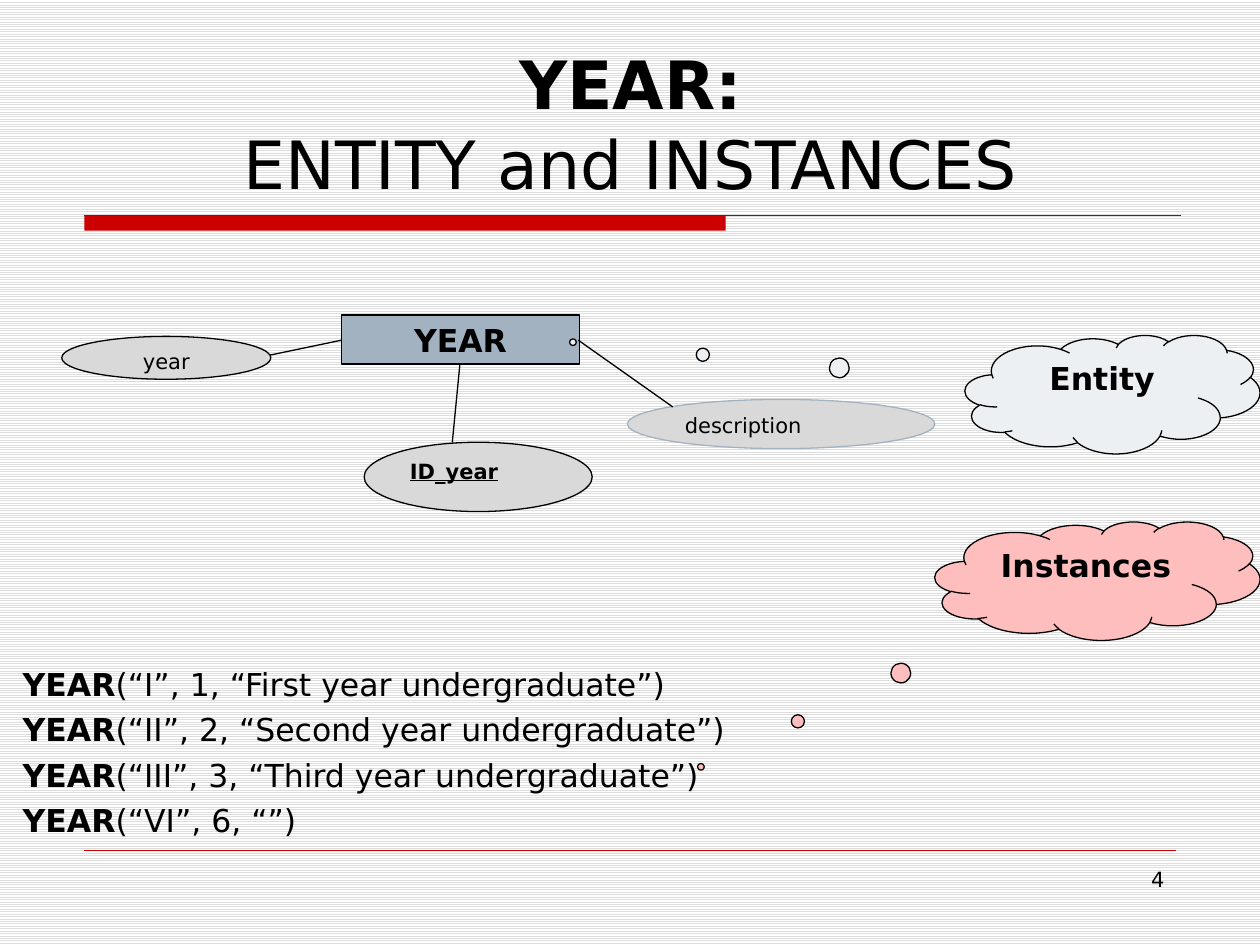
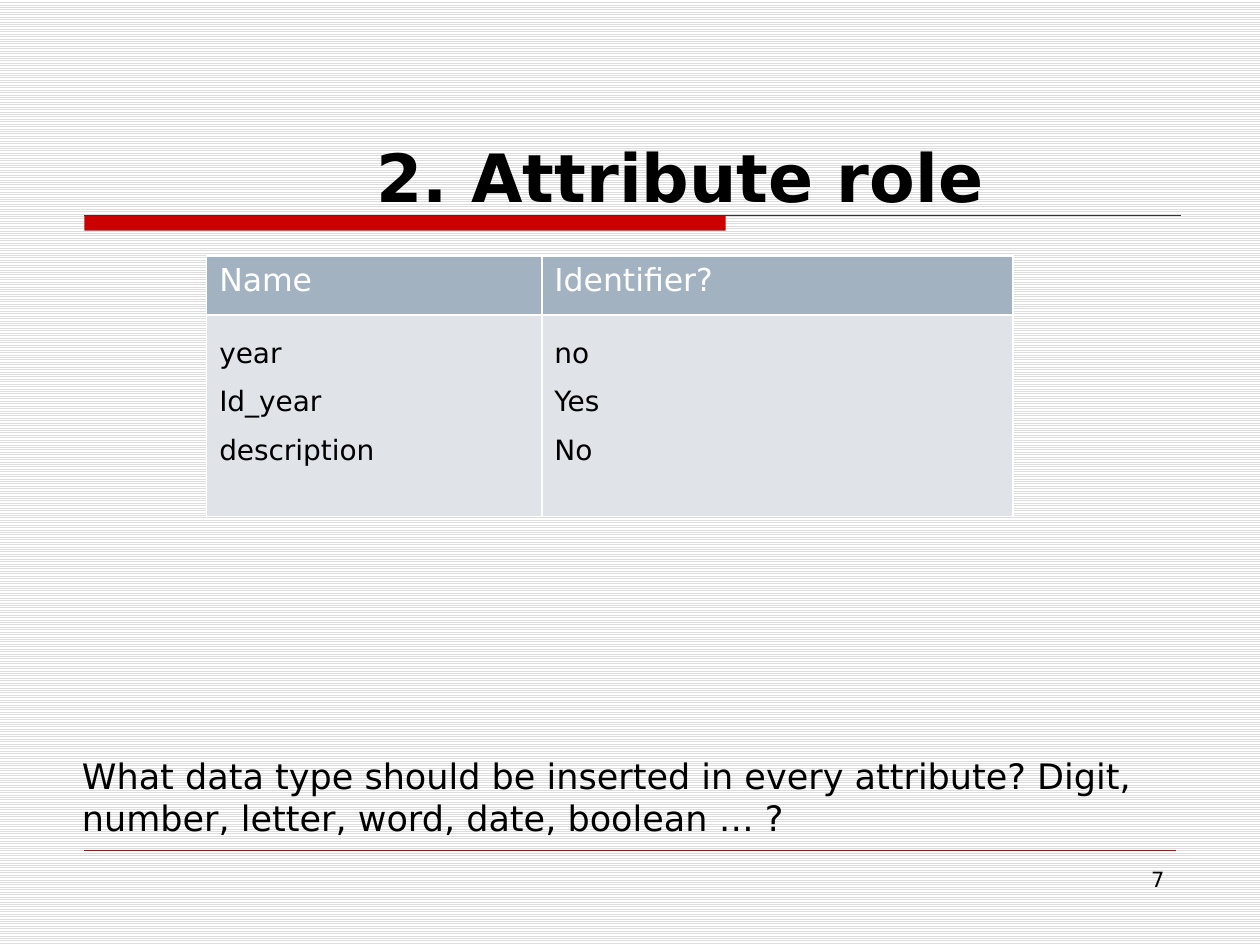
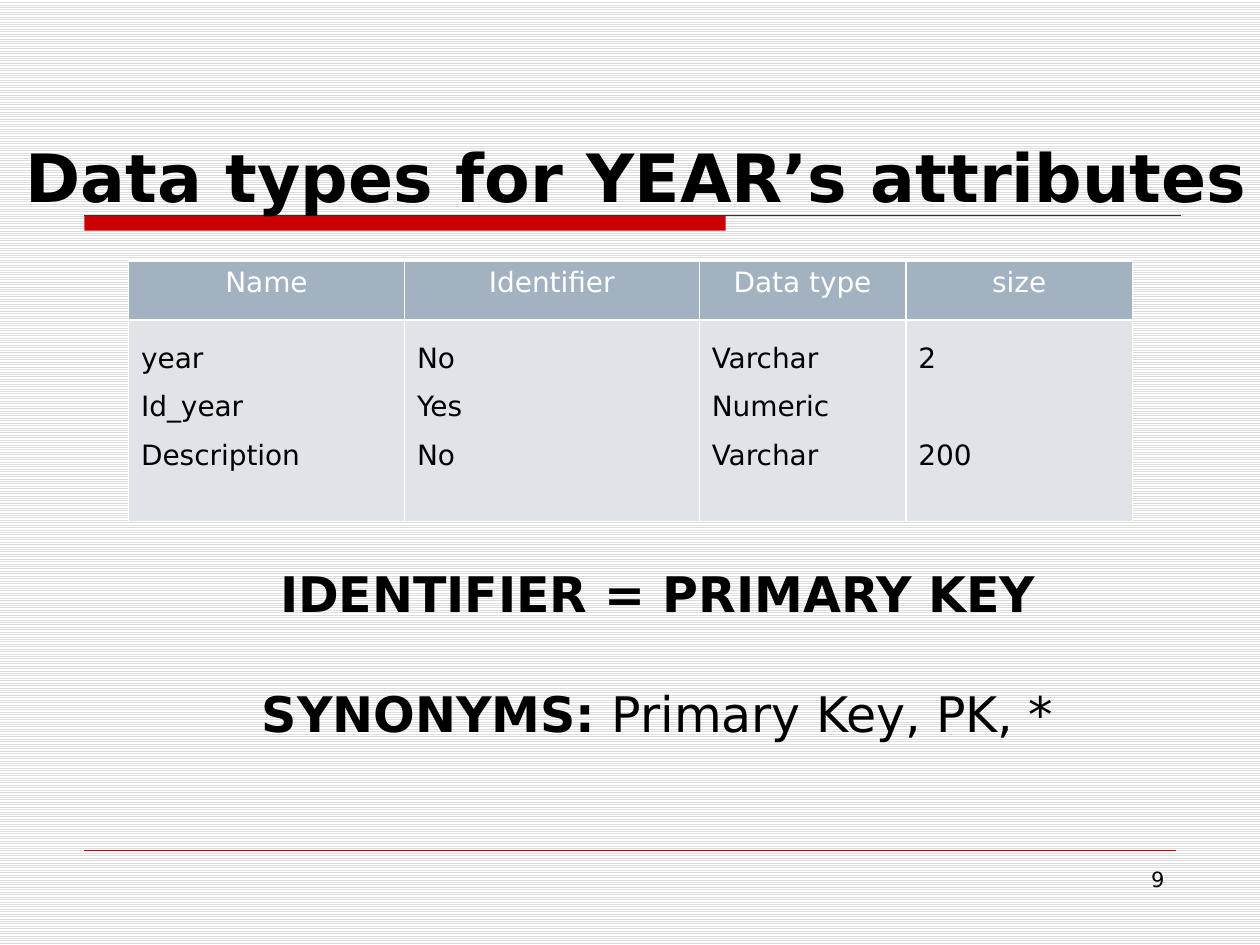
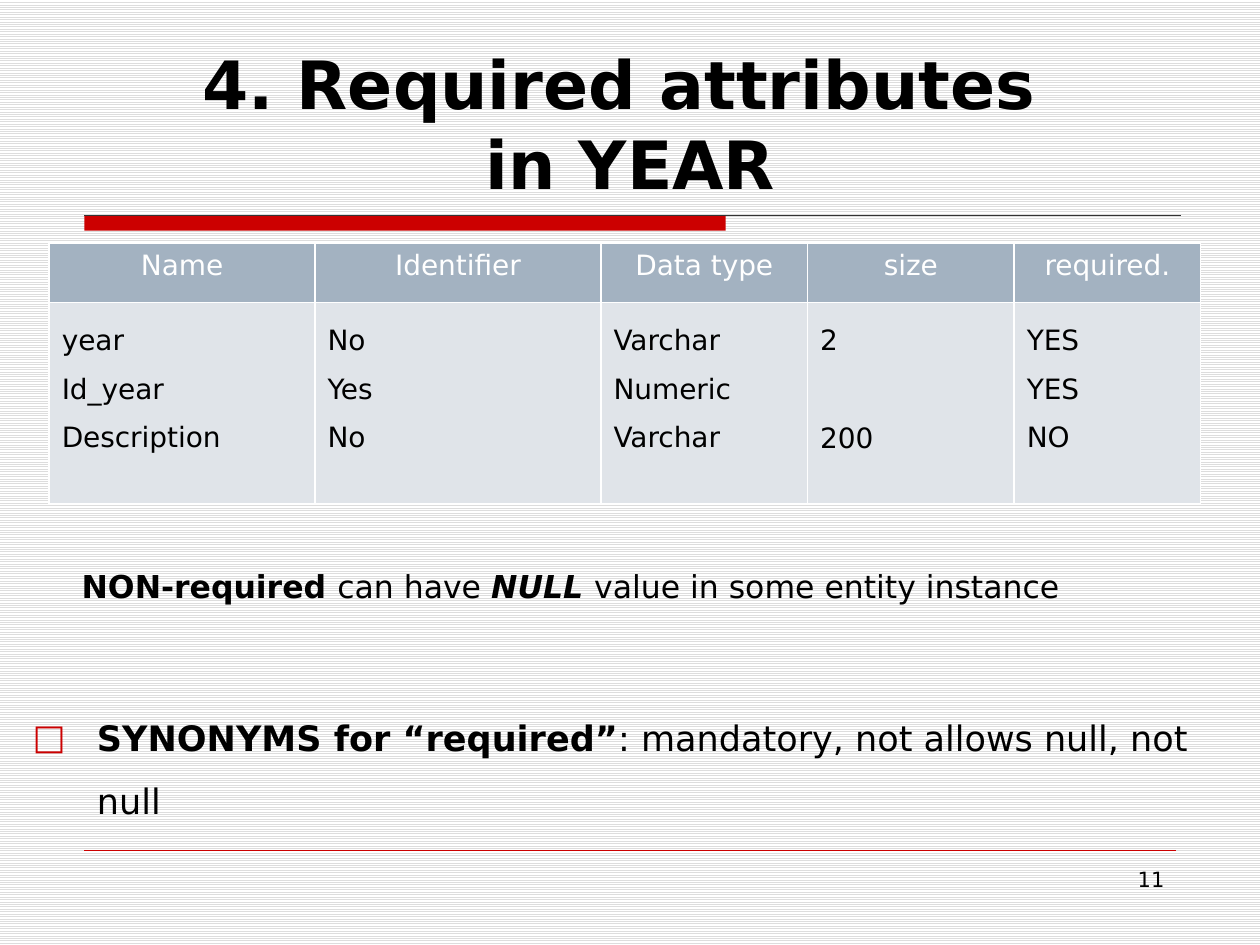
from lxml.etree import SubElement
from pptx import Presentation
from pptx.dml.color import RGBColor
from pptx.enum.dml import MSO_PATTERN
from pptx.enum.shapes import MSO_CONNECTOR, MSO_SHAPE
from pptx.enum.text import MSO_ANCHOR as ANCHOR, MSO_AUTO_SIZE, PP_ALIGN as ALIGN
from pptx.oxml import parse_xml
from pptx.oxml.ns import nsdecls, qn
from pptx.util import Inches, Pt

BLACK = RGBColor(0x00, 0x00, 0x00)
WHITE = RGBColor(0xFF, 0xFF, 0xFF)
RED = RGBColor(0xCC, 0x00, 0x00)
DARK = RGBColor(0x33, 0x33, 0x33)
STRIPE = RGBColor(0xDD, 0xDD, 0xDD)
STEEL = RGBColor(0xA3, 0xB2, 0xC1)
PALE_STEEL = RGBColor(0xE0, 0xE4, 0xE9)
GREY = RGBColor(0xD9, 0xD9, 0xD9)
MIST = RGBColor(0xED, 0xF0, 0xF3)
PINK = RGBColor(0xFF, 0xBE, 0xBE)

FONT = "DejaVu Sans"
LINE_HEIGHT = 1.164
TABLE_SIZE = 16
TABLE_SPACING = 1.5
TALL_TITLE = (0.63, 0.33, 8.75, 1.33)


# Text
def format_span(span, size, style="", color=BLACK):
    """Style letters: b bold, i italic, u underlined."""
    font = span.font
    font.name, font.size, font.color.rgb = FONT, Pt(size), color
    font.bold, font.italic = "b" in style, "i" in style
    font.underline = "u" in style


def write_spans(para, spans, size):
    for text, style in spans:
        span = para.add_run()
        span.text = text
        format_span(span, size, style)


def write_text(frame, text, size, style="", align=ALIGN.LEFT):
    frame.text = text
    para = frame.paragraphs[0]
    para.alignment = align
    for span in para.runs:
        format_span(span, size, style)


def set_bullet(para, symbol=None, hanging=0.0):
    props = para._p.get_or_add_pPr()
    props.set("marL", str(Inches(hanging)))
    props.set("indent", str(Inches(-hanging)))
    if symbol:
        color = SubElement(props, qn("a:buClr"))
        SubElement(color, qn("a:srgbClr"), val=str(RED))
        SubElement(props, qn("a:buFont"), typeface=FONT)
        SubElement(props, qn("a:buChar"), char=symbol)
    else:
        SubElement(props, qn("a:buNone"))


def place(shape, bounds):
    shape.left, shape.top, shape.width, shape.height = map(Inches, bounds)


def add_text_box(page, bounds):
    box = page.shapes.add_textbox(*map(Inches, bounds))
    box.text_frame.word_wrap = True
    return box.text_frame


def set_title(page, text, bounds):
    title = page.shapes.title
    place(title, bounds)
    frame = title.text_frame
    frame.auto_size = MSO_AUTO_SIZE.NONE
    frame.vertical_anchor = ANCHOR.BOTTOM
    write_text(frame, text, 38, "b", ALIGN.CENTER)


def fill_body(page, bounds, lines, size, bullet=None, hanging=0.0, spacing=1.0):
    body = page.placeholders[1]
    place(body, bounds)
    frame = body.text_frame
    frame.auto_size = MSO_AUTO_SIZE.NONE
    for index, spans in enumerate(lines):
        para = frame.add_paragraph() if index else frame.paragraphs[0]
        set_bullet(para, bullet, hanging)
        para.line_spacing = spacing
        para.space_before = Pt(0.2 * LINE_HEIGHT * size if index else 0)
        write_spans(para, spans, size)


# Lines and shapes
def add_line(page, start, end, color=BLACK, width=0.75):
    line = page.shapes.add_connector(
        MSO_CONNECTOR.STRAIGHT, *map(Inches, start + end))
    line.line.color.rgb = color
    line.line.width = Pt(width)
    SubElement(line._element.spPr, qn("a:effectLst"))


def add_shape(page, kind, bounds, fill, outline=BLACK):
    shape = page.shapes.add_shape(kind, *map(Inches, bounds))
    shape.shadow.inherit = False
    shape.fill.solid()
    shape.fill.fore_color.rgb = fill
    if outline is None:
        shape.line.fill.background()
    else:
        shape.line.color.rgb = outline
        shape.line.width = Pt(0.75)
    return shape


def add_label(page, kind, bounds, fill, text, size, style="",
              align=ALIGN.CENTER, outline=BLACK):
    shape = add_shape(page, kind, bounds, fill, outline)
    shape.text_frame.vertical_anchor = ANCHOR.TOP
    write_text(shape.text_frame, text, size, style, align)
    return shape


def add_cloud(page, bounds, fill, text, pointer):
    cloud = add_label(page, MSO_SHAPE.CLOUD_CALLOUT, bounds, fill, text, 18, "b")
    cloud.adjustments[0], cloud.adjustments[1] = pointer


# Tables
def style_cell(cell, fill):
    cell.fill.solid()
    cell.fill.fore_color.rgb = fill
    props = cell._tc.get_or_add_tcPr()
    for index, side in enumerate(("lnL", "lnR", "lnT", "lnB")):
        props.insert(index, parse_xml(
            f'<a:{side} {nsdecls("a")} w="{Pt(1)}"><a:solidFill>'
            f'<a:srgbClr val="{WHITE}"/></a:solidFill></a:{side}>'))


def write_values(frame, values):
    """Stack the values; an empty one leaves its line open above the next."""
    skipped = 0
    para = frame.paragraphs[0]
    for value in values:
        if not value:
            skipped += 1
            continue
        if para.runs:
            para = frame.add_paragraph()
        para.text = value
        para.line_spacing = TABLE_SPACING
        para.space_before = Pt(skipped * TABLE_SIZE * LINE_HEIGHT * TABLE_SPACING)
        format_span(para.runs[0], TABLE_SIZE)
        skipped = 0


def add_attribute_table(page, left, top, columns, size=TABLE_SIZE,
                        align=ALIGN.CENTER):
    """Each column is (heading, width, values)."""
    heights = (0.47, 1.6)
    width = sum(column[1] for column in columns)
    table = page.shapes.add_table(
        2, len(columns), Inches(left), Inches(top),
        Inches(width), Inches(sum(heights))).table
    for row, height in zip(table.rows, heights):
        row.height = Inches(height)
    for index, (heading, width, values) in enumerate(columns):
        table.columns[index].width = Inches(width)
        head, body = table.cell(0, index), table.cell(1, index)
        write_text(head.text_frame, heading, size, align=align)
        head.text_frame.paragraphs[0].runs[0].font.color.rgb = WHITE
        write_values(body.text_frame, values)
        style_cell(head, STEEL)
        style_cell(body, PALE_STEEL)


# Shared page furniture
def add_page(deck, layout, number):
    page = deck.slides.add_slide(deck.slide_layouts[layout])
    bar = add_shape(page, MSO_SHAPE.RECTANGLE, (0.67, 1.71, 5.09, 0.12), RED, None)
    add_line(page, (0.67, 1.71), (9.37, 1.71), DARK)
    add_line(page, (0.67, 6.75), (9.33, 6.75), RED, 0.25)
    # The title and body stand in front of the bands
    tree = bar._element.getparent()
    for placeholder in list(page.placeholders):
        tree.append(placeholder._element)
    frame = add_text_box(page, (7.17, 6.83, 2.17, 0.52))
    write_text(frame, str(number), 12, align=ALIGN.RIGHT)
    return page


# Slides
def build_entity_page(deck):
    page = add_page(deck, 1, 4)
    set_title(page, "YEAR:\vENTITY and INSTANCES", TALL_TITLE)
    page.shapes.title.text_frame.paragraphs[0].runs[1].font.bold = False
    instances = (
        "(“I”, 1, “First year undergraduate”)",
        "(“II”, 2, “Second year undergraduate”)",
        "(“III”, 3, “Third year undergraduate”)",
        "(“VI”, 6, “”)",
    )
    fill_body(page, (0.08, 5.23, 10, 1.62),
              [[("YEAR", "b"), (values, "")] for values in instances],
              18, hanging=0.51)

    # Entity with its three attributes
    oval = MSO_SHAPE.OVAL
    add_line(page, (2.71, 2.7), (2.04, 2.84))
    add_label(page, MSO_SHAPE.RECTANGLE, (2.71, 2.5, 1.89, 0.39), STEEL,
              "YEAR", 18, "b")
    add_label(page, oval, (2.89, 3.51, 1.81, 0.55), GREY, "ID_year", 12, "bu",
              ALIGN.LEFT)
    add_label(page, oval, (0.49, 2.67, 1.66, 0.34), GREY, "year", 12)
    add_label(page, oval, (4.98, 3.17, 2.44, 0.39), GREY, "description", 12,
              align=ALIGN.LEFT, outline=STEEL)
    add_line(page, (3.65, 2.89), (3.59, 3.51))
    add_line(page, (4.59, 2.7), (5.34, 3.23))

    add_cloud(page, (7.42, 4.14, 2.58, 0.94), PINK, "Instances", (-1.22, 1.57))
    add_cloud(page, (7.66, 2.66, 2.34, 0.94), MIST, "Entity", (-1.83, -0.44))


def build_role_page(deck):
    page = add_page(deck, 1, 7)
    set_title(page, "2. Attribute role", (0.7, 1.04, 9.4, 0.72))
    question = ("What data type should be inserted in every attribute? "
                "Digit, number, letter, word, date, boolean … ?")
    fill_body(page, (0.55, 5.94, 8.75, 0.86), [[(question, "")]], 20)
    add_attribute_table(page, 1.64, 2.03, [
        ("Name", 2.66, ("year", "Id_year", "description")),
        ("Identifier?", 3.74, ("no", "Yes", "No")),
    ], 18, ALIGN.LEFT)


def typed_columns(widths):
    headings = ("Name", "Identifier", "Data type", "size")
    values = (("year", "Id_year", "Description"), ("No", "Yes", "No"),
              ("Varchar", "Numeric", "Varchar"), ("2", "", "200"))
    return list(zip(headings, widths, values))


def build_types_page(deck):
    page = add_page(deck, 5, 9)
    set_title(page, "Data types for YEAR’s attributes", (0, 1.04, 10.1, 0.72))
    add_attribute_table(page, 1.02, 2.07, typed_columns((2.19, 2.34, 1.64, 1.8)))
    frame = add_text_box(page, (0.17, 5.22, 10.1, 0.72))
    frame.vertical_anchor = ANCHOR.BOTTOM
    write_text(frame, "IDENTIFIER = PRIMARY KEY", 28, "b", ALIGN.CENTER)
    para = frame.add_paragraph()
    para.alignment = ALIGN.CENTER
    para.space_before = Pt(35)
    write_spans(para, [("SYNONYMS: ", "b"), ("Primary Key, PK, *", "")], 28)


def build_required_page(deck):
    page = add_page(deck, 1, 11)
    set_title(page, "4. Required attributes \vin YEAR", TALL_TITLE)
    columns = typed_columns((2.11, 2.27, 1.64, 1.64))
    columns.append(("required.", 1.48, ("YES", "YES", "NO")))
    add_attribute_table(page, 0.39, 1.93, columns)
    fill_body(page, (0.16, 5.47, 9.53, 0.78),
              [[("SYNONYMS for “required”", "b"),
                (": mandatory, not allows null, not null", "")]],
              20, "□", 0.51, 1.5)
    frame = add_text_box(page, (0.55, 4.45, 8.36, 0.4))
    write_spans(frame.paragraphs[0], [
        ("NON-required ", "b"), ("can have ", ""), ("NULL ", "bi"),
        ("value in some entity instance", "")], 18)


def main():
    deck = Presentation()
    deck.slide_width, deck.slide_height = Inches(10), Inches(7.5)
    backdrop = deck.slide_master.background.fill
    backdrop.patterned()
    backdrop.pattern = MSO_PATTERN.LIGHT_HORIZONTAL
    backdrop.fore_color.rgb, backdrop.back_color.rgb = STRIPE, WHITE
    build_entity_page(deck)
    build_role_page(deck)
    build_types_page(deck)
    build_required_page(deck)
    deck.save("out.pptx")


if __name__ == "__main__":
    main()
